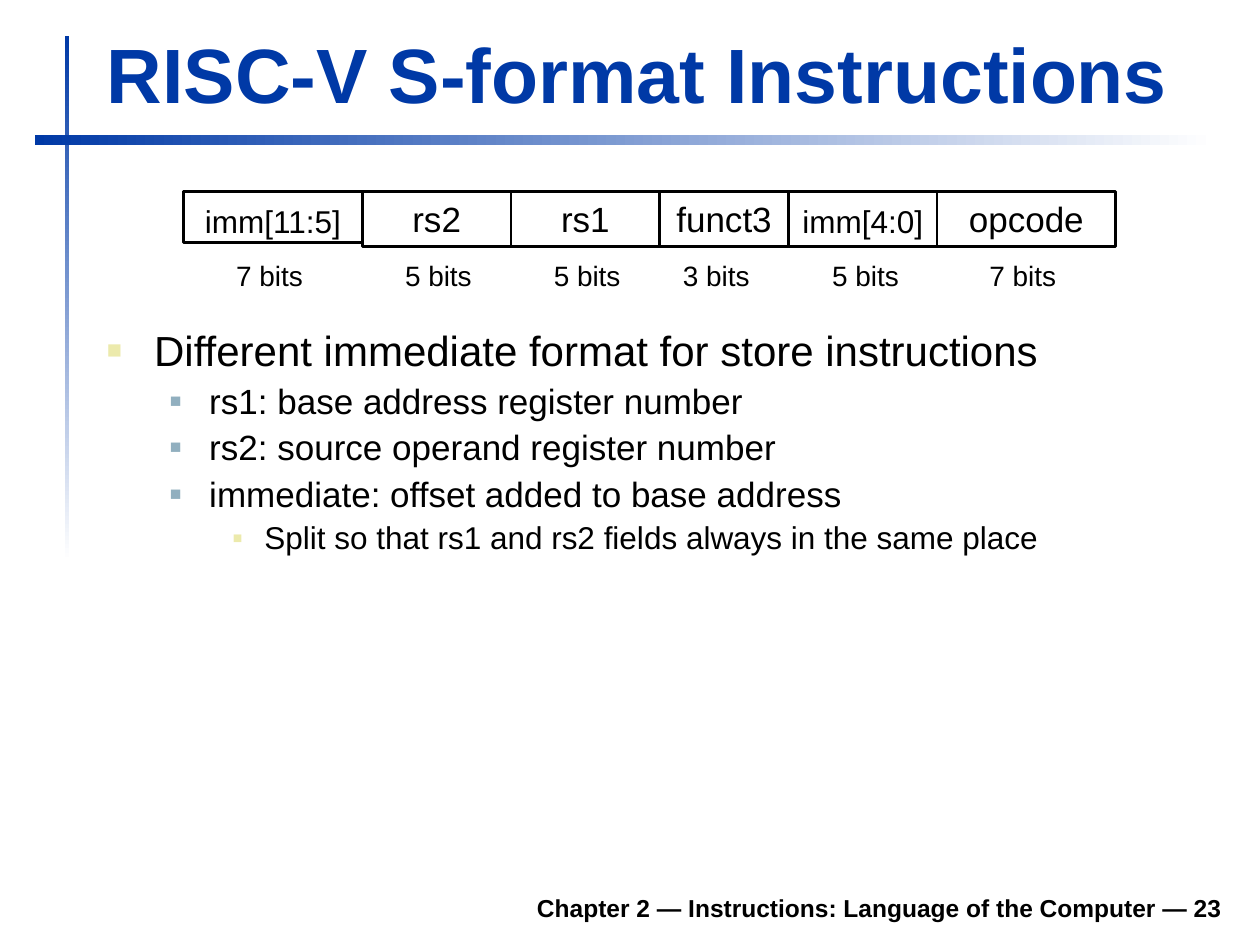
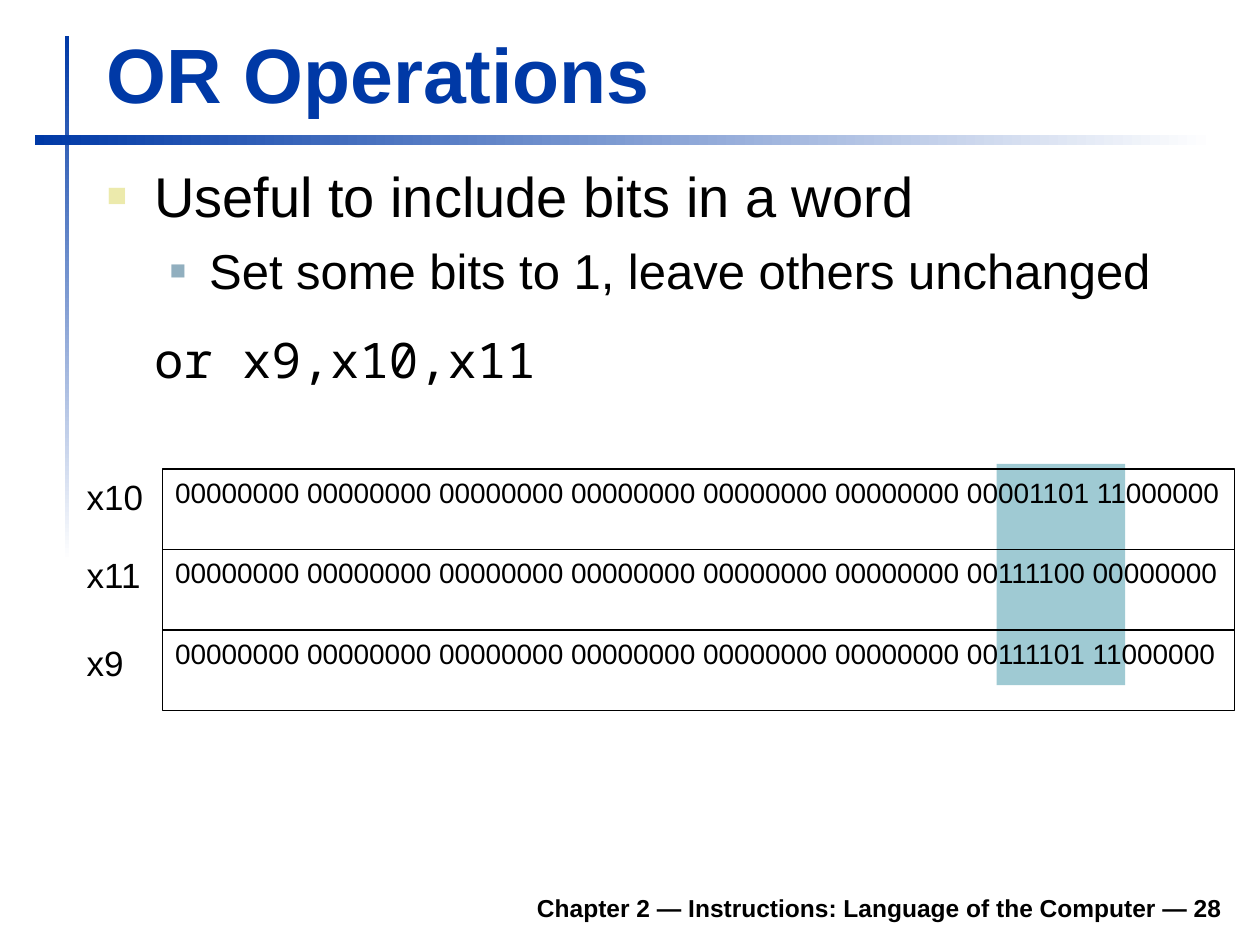
import pptx
import pptx.dml.color
import pptx.enum.shapes
import pptx.enum.text
import pptx.oxml.ns
import pptx.util
from lxml import etree

Pt = pptx.util.Pt
ALIGN = pptx.enum.text.PP_ALIGN
ANCHOR = pptx.enum.text.MSO_ANCHOR
RECTANGLE = pptx.enum.shapes.MSO_SHAPE.RECTANGLE
BLUE, WHITE, BLACK = "0039A6", "FFFFFF", "000000"
SAND, STEEL, TEAL = "ECEAAC", "91AFBF", "9FCAD3"
SANS, MONO = "Arial", "Noto Sans Mono"
LEVELS = [(27, 27, SAND, 60), (58.5, 22.5, STEEL, 55), (90, 18, SAND, 50)]


def color(value):
    return pptx.dml.color.RGBColor.from_string(value)


def set_font(paragraph, size, value=BLACK, bold=False, name=SANS):
    paragraph.font.size = Pt(size)
    paragraph.font.name = name
    paragraph.font.bold = bold
    paragraph.font.color.rgb = color(value)


def write(shape, text, size, align=ALIGN.LEFT, anchor=ANCHOR.TOP, value=BLACK, bold=False):
    frame = shape.text_frame
    frame.word_wrap = True
    frame.vertical_anchor = anchor
    paragraph = frame.paragraphs[0]
    paragraph.text = text
    paragraph.alignment = align
    set_font(paragraph, size, value, bold)


def add_text(slide, box, text, size, **style):
    shape = slide.shapes.add_textbox(*map(Pt, box))
    write(shape, text, size, **style)


def add_rectangle(slide, box, line_width=None):
    shape = slide.shapes.add_shape(RECTANGLE, *map(Pt, box))
    shape.shadow.inherit = False
    shape.fill.background()
    if line_width:
        shape.line.color.rgb = color(BLACK)
        shape.line.width = Pt(line_width)
    else:
        shape.line.fill.background()
    return shape


def add_fading_bar(slide, box, angle):
    fill = add_rectangle(slide, box).fill
    fill.gradient()
    fill.gradient_angle = angle
    for stop, value in zip(fill.gradient_stops, (BLUE, WHITE)):
        stop.color.rgb = color(value)


def add_frame(slide, title, number):
    add_fading_bar(slide, (37, 20.5, 2.5, 300), 270)
    add_fading_bar(slide, (19.75, 77, 674.5, 6), 0)
    add_text(slide, (133, 502.5, 572.5, 28),
             f"Chapter 2 — Instructions: Language of the Computer — {number}", 14,
             align=ALIGN.RIGHT, anchor=ANCHOR.BOTTOM, bold=True)
    add_text(slide, (54, 11.5, 650, 60), title, 44,
             anchor=ANCHOR.BOTTOM, value=BLUE, bold=True)


def set_bullet(paragraph, level, shown):
    margin, hanging, value, percent = LEVELS[level]
    properties = paragraph._p.get_or_add_pPr()
    properties.set("marL", str(Pt(margin)))
    properties.set("indent", str(-Pt(hanging) if shown else 0))
    if not shown:
        return
    qualified = pptx.oxml.ns.qn
    bullet_color = etree.SubElement(properties, qualified("a:buClr"))
    etree.SubElement(bullet_color, qualified("a:srgbClr"), val=value)
    etree.SubElement(properties, qualified("a:buSzPct"), val=str(percent * 1000))
    etree.SubElement(properties, qualified("a:buFont"), typeface=SANS)
    etree.SubElement(properties, qualified("a:buChar"), char="■")


def add_body(slide, box, items, line_spacing=1.0):
    frame = slide.shapes.add_textbox(*map(Pt, box)).text_frame
    frame.word_wrap = True
    for index, (text, level, size, space_before, is_code) in enumerate(items):
        paragraph = frame.add_paragraph() if index else frame.paragraphs[0]
        paragraph.text = text
        paragraph.level = level
        paragraph.line_spacing = line_spacing
        paragraph.space_before = Pt(space_before)
        set_bullet(paragraph, level, not is_code)
        set_font(paragraph, size, name=MONO if is_code else SANS)


def add_instruction_fields(slide, left, top, fields):
    widths = {7: 102, 5: 85, 3: 73.5}
    for name, bits, height, label_shift in fields:
        width = widths[bits]
        is_immediate = name.startswith("imm")
        field = add_rectangle(slide, (left, top, width, height), 1.5)
        write(field, name, 18 if is_immediate else 20, align=ALIGN.CENTER)
        frame = field.text_frame
        frame.margin_left = frame.margin_right = 0
        frame.margin_top = Pt(6 if is_immediate else 3.6)
        add_text(slide, (left + label_shift, top + 34.5, width, 26.5),
                 f"{bits} bits", 16, align=ALIGN.CENTER)
        left += width


def add_registers(slide, left, top, registers):
    row_height = 46
    for index, (name, label_top, low_bits) in enumerate(registers):
        row = add_rectangle(slide, (left, top + index * row_height, 612.5, row_height), 0.75)
        write(row, " ".join(["00000000"] * 6 + [low_bits]), 16)
        row.text_frame.margin_right = 0
        add_text(slide, (left - 50.5, top + label_top, 50, 31.5), name, 20)


def build_format_slide(slide):
    add_frame(slide, "RISC-V S-format Instructions", 23)
    add_body(slide, (54, 185, 651, 306), [
        ("Different immediate format for store instructions", 0, 24, 0, False),
        ("rs1: base address register number", 1, 20, 5, False),
        ("rs2: source operand register number", 1, 20, 5, False),
        ("immediate: offset added to base address", 1, 20, 5, False),
        ("Split so that rs1 and rs2 fields always in the same place", 2, 18, 4.5, False),
    ], 0.9)
    add_instruction_fields(slide, 105, 109.5, [
        ("imm[11:5]", 7, 29, -2),
        ("rs2", 5, 31.5, 1),
        ("rs1", 5, 31.5, 1),
        ("funct3", 3, 31.5, -4.5),
        ("imm[4:0]", 5, 31.5, 1.5),
        ("opcode", 7, 31.5, -2),
    ])


def build_or_slide(slide):
    highlight = add_rectangle(slide, (569.5, 265, 73.5, 126.5))
    highlight.fill.solid()
    highlight.fill.fore_color.rgb = color(TEAL)
    add_frame(slide, "OR Operations", 28)
    add_body(slide, (54, 88.5, 651, 163.5), [
        ("Useful to include bits in a word", 0, 32, 0, False),
        ("Set some bits to 1, leave others unchanged", 1, 28, 7, False),
        ("or x9,x10,x11", 0, 28, 17.5, True),
    ])
    add_registers(slide, 93, 268, [
        ("x10", 0, "00001101 11000000"),
        ("x11", 44.5, "00111100 00000000"),
        ("x9", 95, "00111101 11000000"),
    ])


def main():
    presentation = pptx.Presentation()
    presentation.slide_width, presentation.slide_height = Pt(720), Pt(540)
    for build in (build_format_slide, build_or_slide):
        build(presentation.slides.add_slide(presentation.slide_layouts[6]))
    presentation.save("out.pptx")


if __name__ == "__main__":
    main()
